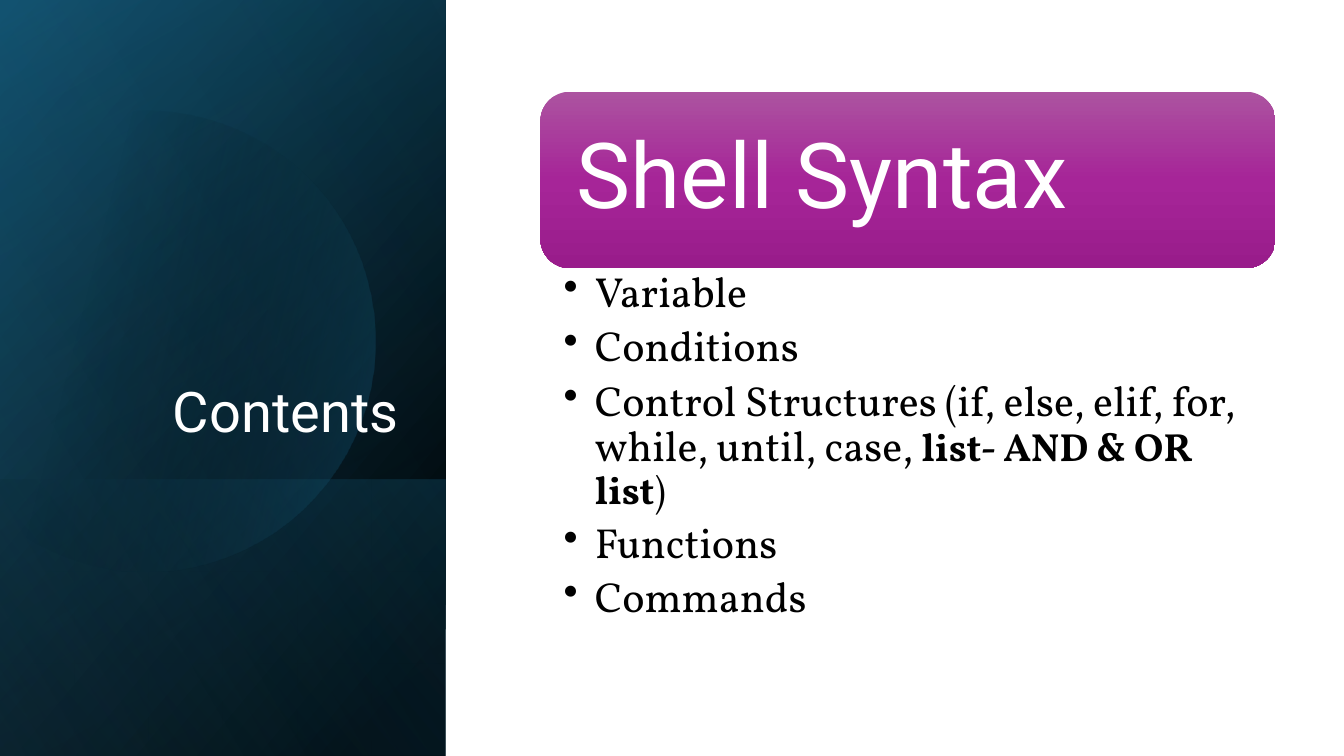
from lxml import etree
from pptx import Presentation
from pptx import util as u
from pptx.dml import color
from pptx.enum import shapes, text
from pptx.oxml import ns

COLORS = {
    "black": "000000", "white": "FFFFFF", "navy": "104862",
    "teal": "156082", "sky": "46B1E1",
    "plum_light": "AC53A0", "plum": "A62598", "plum_dark": "991C8B",
}
PANEL_WIDTH, PANEL_HEIGHT = 4.42, 7.5


class SlideBuilder:
    """Holds the slide and its style, and adds each kind of element."""

    heading_font = "Roboto"
    body_font = "Vollkorn"

    def __init__(self, slide):
        self.slide = slide

    def gradient(self, shape, stops, angle):
        """Fill with (position %, colour, opacity %) stops at a clockwise angle."""
        shape.shadow.inherit = False
        shape.line.fill.background()
        shape.fill.gradient()
        grad = shape._element.spPr.find(ns.qn("a:gradFill"))
        stop_list = grad.find(ns.qn("a:gsLst"))
        for old_stop in list(stop_list):
            stop_list.remove(old_stop)
        for position, name, opacity in stops:
            stop = etree.SubElement(stop_list, ns.qn("a:gs"), pos=str(position * 1000))
            tint = etree.SubElement(stop, ns.qn("a:srgbClr"), val=COLORS[name])
            if opacity < 100:
                etree.SubElement(tint, ns.qn("a:alpha"), val=str(opacity * 1000))
        grad.find(ns.qn("a:lin")).set("ang", str(angle * 60000))

    def panel(self, top, height, stops, angle):
        """Left panel layer: a mirrored rectangle turned a quarter."""
        layer = self.slide.shapes.add_shape(
            shapes.MSO_SHAPE.RECTANGLE,
            u.Inches((PANEL_WIDTH - height) / 2), u.Inches(top + (height - PANEL_WIDTH) / 2),
            u.Inches(height), u.Inches(PANEL_WIDTH))
        layer.rotation = 90
        layer._element.spPr.find(ns.qn("a:xfrm")).set("flipH", "1")
        self.gradient(layer, stops, angle)

    def curved_outline(self, start, curves, stops, angle, steps=20):
        """Closed outline of cubic curves, each given by three points."""
        points, last = [], start
        for control_1, control_2, end in curves:
            for step in range(1, steps + 1):
                t = step / steps
                weights = ((1 - t) ** 3, 3 * t * (1 - t) ** 2, 3 * t ** 2 * (1 - t), t ** 3)
                corners = (last, control_1, control_2, end)
                points.append(tuple(
                    u.Inches(sum(w * c[axis] for w, c in zip(weights, corners)))
                    for axis in (0, 1)))
            last = end
        builder = self.slide.shapes.build_freeform(u.Inches(start[0]), u.Inches(start[1]))
        builder.add_line_segments(points, close=True)
        self.gradient(builder.convert_to_shape(), stops, angle)

    def rounded_box(self, left, top, width, height, stops, angle):
        box = self.slide.shapes.add_shape(
            shapes.MSO_SHAPE.ROUNDED_RECTANGLE,
            *(u.Inches(n) for n in (left, top, width, height)))
        self.gradient(box, stops, angle)

    def font(self, paragraph, face, size, name):
        paragraph.line_spacing = 0.9
        paragraph.font.name = face
        if size:
            paragraph.font.size = u.Pt(size)
        paragraph.font.color.rgb = color.RGBColor.from_string(COLORS[name])

    def frame(self, left, top, width, height, inset_x, inset_y):
        frame = self.slide.shapes.add_textbox(
            *(u.Inches(n) for n in (left, top, width, height))).text_frame
        frame.word_wrap = True
        frame.margin_left = frame.margin_right = u.Inches(inset_x)
        frame.margin_top = frame.margin_bottom = u.Inches(inset_y)
        return frame

    def title(self, wording, left, top, width, height):
        title = self.slide.shapes.title
        title.left, title.top = u.Inches(left), u.Inches(top)
        title.width, title.height = u.Inches(width), u.Inches(height)
        frame = title.text_frame
        frame.text = wording
        frame.word_wrap = True
        frame.auto_size = text.MSO_AUTO_SIZE.NONE
        frame.vertical_anchor = text.MSO_ANCHOR.BOTTOM
        frame.paragraphs[0].alignment = text.PP_ALIGN.RIGHT
        self.font(frame.paragraphs[0], self.heading_font, 40, "white")

    def heading(self, wording, left, top, width, height):
        frame = self.frame(left, top, width, height, 0.27, 0.27)
        frame.vertical_anchor = text.MSO_ANCHOR.MIDDLE
        frame.text = wording
        self.font(frame.paragraphs[0], self.heading_font, 65, "white")

    def bullets(self, topics, left, top, width, height):
        """Each topic is a list of (wording, size, bold) runs."""
        frame = self.frame(left, top, width, height, 0.23, 0.04)
        for index, topic in enumerate(topics):
            paragraph = frame.add_paragraph() if index else frame.paragraphs[0]
            paragraph.level = 1
            paragraph.space_after = u.Pt(6.5)
            mixed = len(topic) > 1
            for wording, size, bold in topic:
                run = paragraph.add_run()
                run.text = wording
                if mixed:
                    run.font.size, run.font.bold = u.Pt(size), bold
            self.font(paragraph, self.body_font, None if mixed else topic[0][1], "black")
            properties = paragraph._p.get_or_add_pPr()
            properties.set("marL", str(u.Inches(0.31)))
            properties.set("indent", str(u.Inches(-0.31)))
            bullet = etree.Element(ns.qn("a:buChar"), char="•")
            properties.find(ns.qn("a:spcAft")).addnext(bullet)


def main():
    deck = Presentation()
    deck.slide_width, deck.slide_height = u.Inches(13.33), u.Inches(7.5)
    contents = SlideBuilder(deck.slides.add_slide(deck.slide_layouts[5]))

    # Dark panel on the left, layer by layer
    contents.panel(0, PANEL_HEIGHT, [(8, "black", 100), (100, "navy", 100)], 50)
    contents.panel(0, PANEL_HEIGHT, [(0, "black", 0), (99, "teal", 46)], 30)
    contents.panel(4.76, 2.74, [(2, "teal", 29), (100, "black", 30)], 130)
    contents.curved_outline(
        (-0.15, 1.75),
        [((0.1, 1.47), (0.43, 1.27), (0.8, 1.19)),
         ((1.03, 1.13), (1.26, 1.1), (1.49, 1.1)),
         ((2.46, 1.12), (3.35, 1.77), (3.63, 2.75)),
         ((3.98, 3.97), (3.28, 5.23), (2.07, 5.58)),
         ((1.31, 5.8), (0.53, 5.61), (-0.15, 5.03))],
        [(29, "black", 0), (100, "teal", 43)], 14)
    contents.panel(0, PANEL_HEIGHT, [(0, "black", 0), (99, "sky", 11)], 120)

    # Slide title, brought in front of the panel
    contents.title("Contents", 0.64, 1.84, 3.41, 2.62)
    title_element = contents.slide.shapes.title._element
    title_element.getparent().append(title_element)

    # Section heading
    contents.rounded_box(
        5.36, 0.91, 7.29, 1.75,
        [(0, "plum_light", 100), (50, "plum", 100), (100, "plum_dark", 100)], 90)
    contents.heading("Shell Syntax", 5.45, 0.99, 7.12, 1.58)

    # Topics
    contents.bullets([
        [("Variable", 30, False)],
        [("Conditions", 30, False)],
        [("Control Structures (if, else, elif, for, while, until, case, ", 30, False),
         ("list- AND & OR list", 28, True),
         (")", 28, False)],
        [("Functions", 30, False)],
        [("Commands", 30, False)],
    ], 5.36, 2.65, 7.29, 4.05)

    deck.save("out.pptx")


if __name__ == "__main__":
    main()
